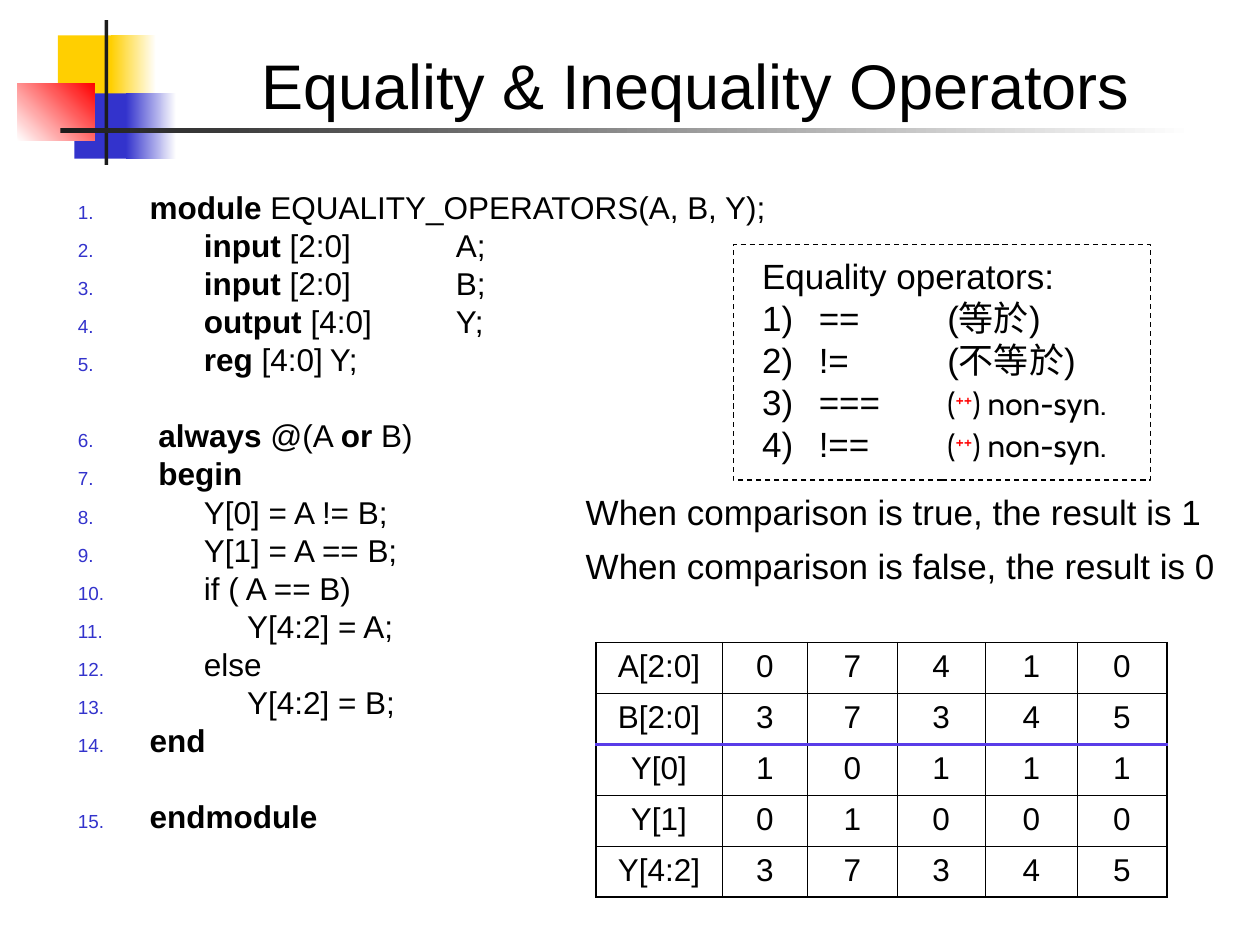
from lxml import etree
from pptx import Presentation
from pptx.dml.color import RGBColor
from pptx.enum import dml, shapes, text
from pptx.oxml import ns
from pptx.util import Inches, Pt

BLACK, WHITE, DARK, RED = "000000", "FFFFFF", "1C1C1C", "FF0000"
YELLOW, BLUE, PURPLE = "FFCF01", "3333CC", "593CE8"

ORNAMENTS = [
    ((0.46, 0.28, 0.48, 0.52), [YELLOW], 0),
    ((0.88, 0.28, 0.36, 0.52), [YELLOW, WHITE], 0),
    ((0.59, 0.74, 0.46, 0.52), [BLUE], 0),
    ((1, 0.74, 0.4, 0.52), [BLUE, WHITE], 0),
    ((0.14, 0.66, 0.61, 0.46), [WHITE, RED], 45),
    ((0.83, 0.16, 0.03, 1.15), [DARK], 0),
    ((0.48, 1.02, 9, 0.04), [DARK, WHITE], 0),
]
TITLE = "Equality & Inequality Operators"
CODE_BLOCKS = [
    [" **module** EQUALITY_OPERATORS(A, B, Y);",
     "\t**input** [2:0]\tA;",
     "\t**input** [2:0]\tB;",
     "\t**output** [4:0]\tY;",
     "\t**reg** [4:0]\tY;"],
    ["  **always** @(A **or** B)",
     "  **begin**",
     "\tY[0] = A != B;",
     "\tY[1] = A == B;",
     "\tif ( A == B)",
     "\t     Y[4:2] = A;",
     "\telse",
     "\t     Y[4:2] = B;",
     " **end**"],
    [" **endmodule**"],
]
OPERATORS_HEADING = "Equality operators:"
OPERATORS = [("==", "(等於)"), ("!=", "(不等於)"), ("===", None), ("!==", None)]
NON_SYNTHESIZABLE = [("(", BLACK), ("++", RED), (") non-syn.", BLACK)]
RESULTS = ["When comparison is true, the result is 1",
           "When comparison is false, the result is 0"]
TRUTH_TABLE = [
    ("A[2:0]", 0, 7, 4, 1, 0),
    ("B[2:0]", 3, 7, 3, 4, 5),
    ("Y[0]", 1, 0, 1, 1, 1),
    ("Y[1]", 0, 1, 0, 0, 0),
    ("Y[4:2]", 3, 7, 3, 4, 5),
]
COLUMN_WIDTHS = [1, 0.68, 0.71, 0.7, 0.73, 0.71]
TABLE_HEIGHT = 2.02
LAST_INPUT_ROW = 1
THIN, OUTER, DIVIDER = (BLACK, 0.45), (BLACK, 1.08), (PURPLE, 1.47)


def rgb(color):
    return RGBColor.from_string(color)


def element(parent, tag, **attributes):
    return etree.SubElement(parent, ns.qn(f"a:{tag}"),
                            {key: str(value) for key, value in attributes.items()})


def style(font, size, color=BLACK, name="Arial", bold=False):
    font.size, font.name, font.bold = Pt(size), name, bold
    font.color.rgb = rgb(color)


def add_span(para, words, size, **options):
    span = para.add_run()
    span.text = words
    style(span.font, size, **options)
    return span


def add_rectangle(page, place, colors, angle=0):
    box = page.shapes.add_shape(shapes.MSO_SHAPE.RECTANGLE, *map(Inches, place))
    box.shadow.inherit = False
    box.line.fill.background()
    if len(colors) == 1:
        box.fill.solid()
        box.fill.fore_color.rgb = rgb(colors[0])
    else:
        box.fill.gradient()
        box.fill.gradient_angle = angle
        for stop, color in zip(box.fill.gradient_stops, colors):
            stop.color.rgb = rgb(color)
    return box


def add_text_box(page, place):
    frame = page.shapes.add_textbox(*map(Inches, place)).text_frame
    frame.word_wrap = True
    return frame


def next_para(frame, first):
    return frame.paragraphs[0] if first else frame.add_paragraph()


def number(para, scheme, start, indent, tabs, color, percent=100):
    properties = para._p.get_or_add_pPr()
    properties.set("marL", str(Inches(indent)))
    properties.set("indent", str(-Inches(indent)))
    element(element(properties, "buClr"), "srgbClr", val=color)
    element(properties, "buSzPct", val=percent * 1000)
    element(properties, "buFont", typeface="Arial")
    element(properties, "buAutoNum", type=scheme, startAt=start)
    stops = element(properties, "tabLst")
    for position in tabs:
        element(stops, "tab", pos=Inches(position), algn="l")


def add_title(page):
    frame = add_text_box(page, (1.26, 0.18, 8.52, 0.84))
    frame.vertical_anchor = text.MSO_ANCHOR.BOTTOM
    frame.text = TITLE
    para = frame.paragraphs[0]
    para.alignment = text.PP_ALIGN.CENTER
    style(para.runs[0].font, 36)


def add_code(page):
    frame = add_text_box(page, (0.52, 1.5, 5.85, 5.58))
    start = 1
    for block in CODE_BLOCKS:
        for index, line in enumerate(block):
            first = start == 1 and index == 0
            para = next_para(frame, first)
            number(para, "arabicPeriod", start, 0.5, range(1, 9), BLUE, 60)
            para.line_spacing = 0.8
            if not first:
                para.space_before = Pt(4.5 if index else 26)
            for position, words in enumerate(line.split("**")):
                if words:
                    add_span(para, words, 18, bold=position % 2 == 1)
        start += len(block)


def add_operators(page):
    panel = add_rectangle(page, (5.82, 1.94, 3.31, 1.87), [WHITE])
    panel.line.color.rgb = rgb(BLACK)
    panel.line.width = Pt(0.75)
    panel.line.dash_style = dml.MSO_LINE.DASH
    frame = add_text_box(page, (5.95, 1.97, 5, 1.77))
    frame.text = OPERATORS_HEADING
    style(frame.paragraphs[0].runs[0].font, 20)
    for symbol, meaning in OPERATORS:
        para = frame.add_paragraph()
        number(para, "arabicParenR", 1, 0.45, [1.47], BLACK)
        add_span(para, f"{symbol}\t{meaning or ''}", 20)
        if meaning is None:
            for words, color in NON_SYNTHESIZABLE:
                span = add_span(para, words, 18, color=color, name="Cabin")
                if color == RED:
                    span.font._element.set("baseline", "30000")


def add_results(page):
    frame = add_text_box(page, (4.55, 3.74, 5.35, 0.97))
    for index, sentence in enumerate(RESULTS):
        para = next_para(frame, index == 0)
        para.text = sentence
        para.line_spacing = 1.3
        style(para.runs[0].font, 20)


def set_borders(cell, borders):
    properties = cell._tc.get_or_add_tcPr()
    for position, (side, (color, width)) in enumerate(borders.items()):
        line = etree.Element(ns.qn(f"a:ln{side}"), w=str(Pt(width)))
        element(element(line, "solidFill"), "srgbClr", val=color)
        properties.insert(position, line)


def add_truth_table(page):
    rows, columns = len(TRUTH_TABLE), len(COLUMN_WIDTHS)
    size = sum(COLUMN_WIDTHS), TABLE_HEIGHT
    table = page.shapes.add_table(rows, columns, *map(Inches, (4.73, 5.1, *size))).table
    for column, width in zip(table.columns, COLUMN_WIDTHS):
        column.width = Inches(width)
    for r, values in enumerate(TRUTH_TABLE):
        table.rows[r].height = Inches(TABLE_HEIGHT / rows)
        for c, value in enumerate(values):
            cell = table.cell(r, c)
            cell.fill.background()
            cell.text = str(value)
            para = cell.text_frame.paragraphs[0]
            para.alignment = text.PP_ALIGN.CENTER
            style(para.runs[0].font, 18)
            top = DIVIDER if r == LAST_INPUT_ROW + 1 else THIN
            bottom = DIVIDER if r == LAST_INPUT_ROW else THIN
            set_borders(cell, {
                "L": OUTER if c == 0 else THIN,
                "R": OUTER if c == columns - 1 else THIN,
                "T": OUTER if r == 0 else top,
                "B": OUTER if r == rows - 1 else bottom,
            })


def main():
    deck = Presentation()
    deck.slide_width, deck.slide_height = Inches(10), Inches(7.5)
    page = deck.slides.add_slide(deck.slide_layouts[6])
    for place, colors, angle in ORNAMENTS:
        add_rectangle(page, place, colors, angle)
    for add_part in (add_title, add_code, add_operators, add_results, add_truth_table):
        add_part(page)
    deck.save("out.pptx")


if __name__ == "__main__":
    main()
